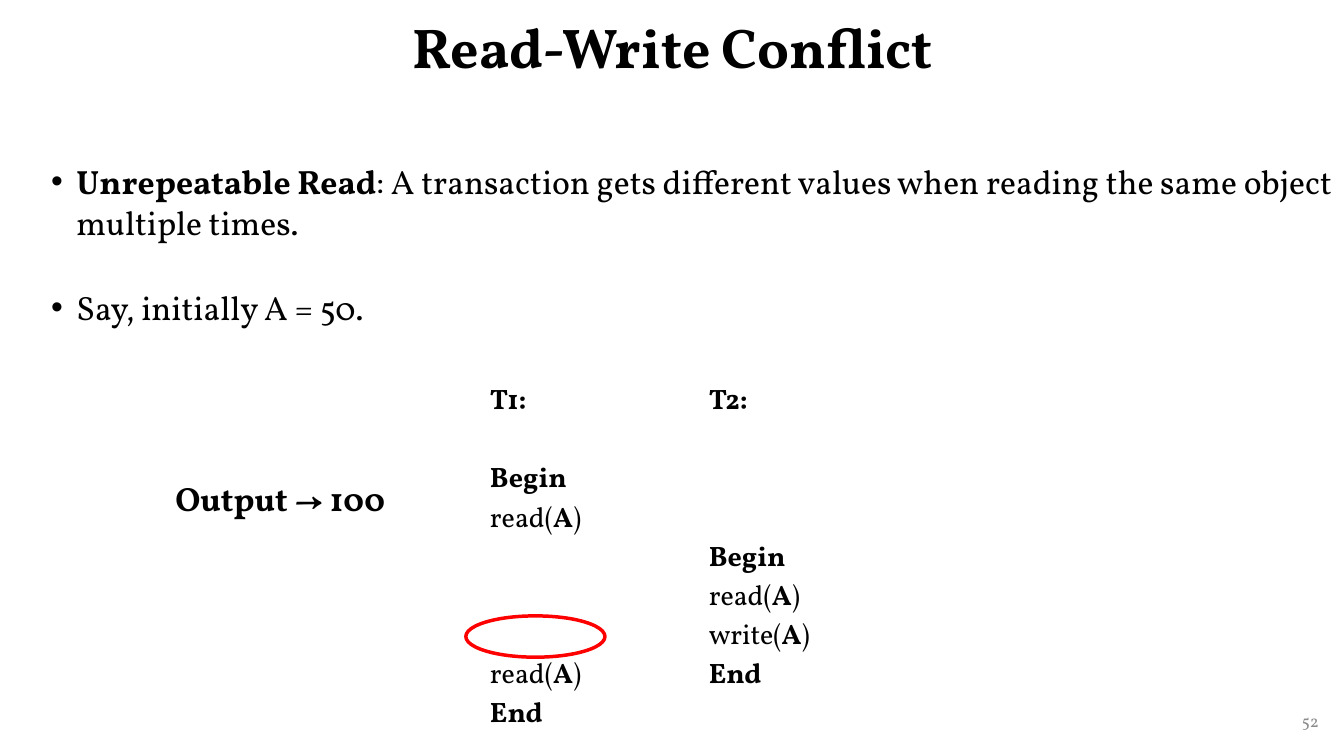
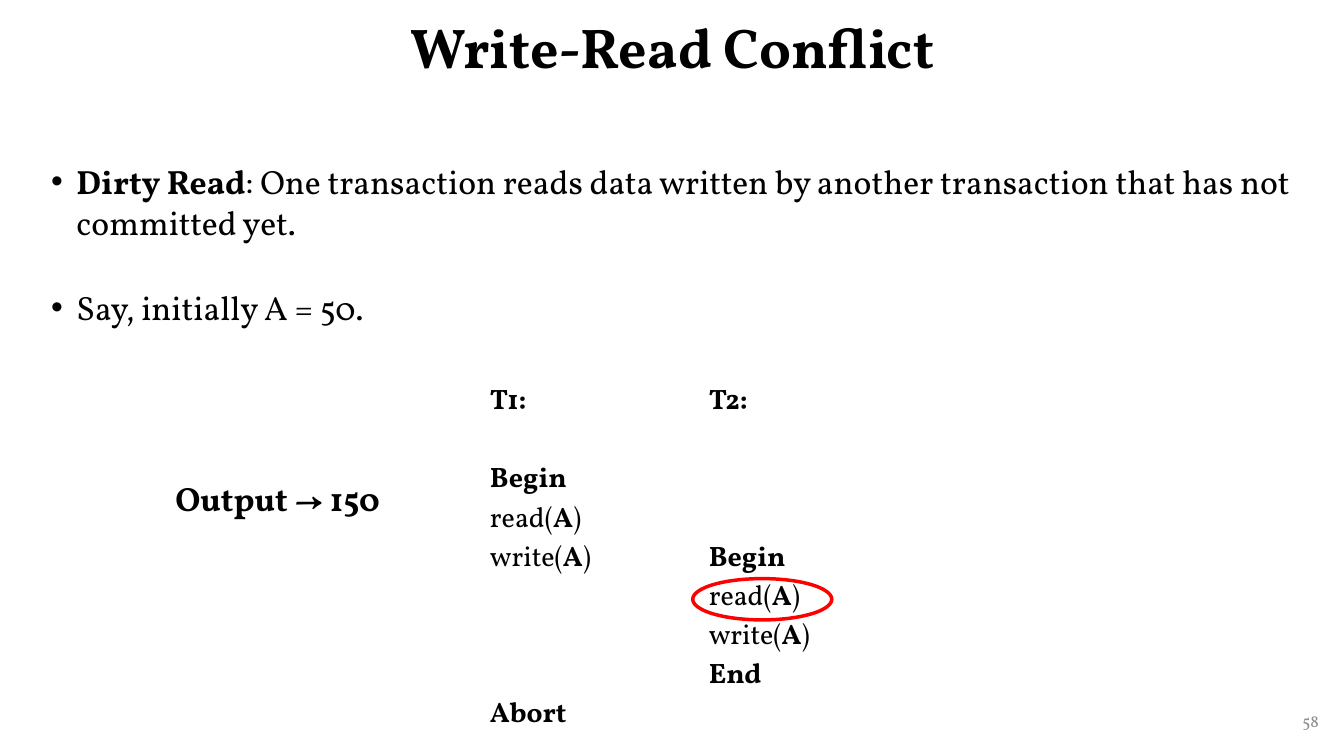
from dataclasses import dataclass

from lxml.etree import SubElement
from pptx import Presentation
from pptx.dml.color import RGBColor
from pptx.enum.shapes import MSO_SHAPE
from pptx.enum.text import MSO_ANCHOR, MSO_AUTO_SIZE, PP_ALIGN
from pptx.oxml.ns import qn
from pptx.util import Inches, Pt


@dataclass(frozen=True)
class Theme:
    font: str = "Vollkorn"
    text: RGBColor = RGBColor(0x00, 0x00, 0x00)
    muted: RGBColor = RGBColor(0x8C, 0x8C, 0x8C)
    accent: RGBColor = RGBColor(0xFF, 0x00, 0x00)
    title_size: int = 40
    body_size: int = 24
    step_size: int = 20
    number_size: int = 12
    step_pitch: float = 27.9  # height of one schedule line, in points
    plain_table: str = "{2D5ABB26-0587-4C30-8999-92F81FD0307C}"


THEME = Theme()

TITLE_BOX = (0.92, 0, 11.5, 0.99)
BODY_BOX = (0.41, 1.55, 12.92, 1.94)
SCHEDULE_BOX = (4.76, 3.75, 4.22, 3.6)
SCHEDULE_COLUMNS = (2.17, 2.05)
OUTPUT_BOX = (1.64, 4.69, 2.63, 0.5)
NUMBER_BOX = (10.18, 6.95, 3, 0.4)
MARK_SIZE = (1.38, 0.41)

# Schedule steps as (text, bold) spans
BEGIN, END, ABORT = ([(word, True)] for word in ("Begin", "End", "Abort"))
READ, WRITE = ([(f"{name}(", False), ("A", True), (")", False)]
               for name in ("read", "write"))


def inches(values):
    return [Inches(value) for value in values]


def write_spans(para, spans, size, color=THEME.text):
    for text, bold in spans:
        span = para.add_run()
        span.text = text
        font = span.font
        font.name, font.size, font.bold = THEME.font, Pt(size), bold
        font.color.rgb = color


def add_text(page, box, spans, size, color=THEME.text,
             align=PP_ALIGN.LEFT, anchor=MSO_ANCHOR.TOP):
    frame = page.shapes.add_textbox(*inches(box)).text_frame
    frame.word_wrap = True
    frame.vertical_anchor = anchor
    para = frame.paragraphs[0]
    para.alignment = align
    write_spans(para, spans, size, color)
    return frame


def set_title(page, box, text):
    title = page.shapes.title
    title.left, title.top, title.width, title.height = inches(box)
    frame = title.text_frame
    frame.auto_size = MSO_AUTO_SIZE.NONE
    frame.vertical_anchor = MSO_ANCHOR.MIDDLE
    para = frame.paragraphs[0]
    para.alignment = PP_ALIGN.CENTER
    para.line_spacing = 0.9
    write_spans(para, [(text, True)], THEME.title_size)


def add_bullet(para):
    properties = para._p.get_or_add_pPr()
    properties.set("marL", str(Inches(0.25)))
    properties.set("indent", str(-Inches(0.25)))
    SubElement(properties, qn("a:buFont"), typeface="Arial")
    SubElement(properties, qn("a:buChar"), char="•")


def add_body(page, box, term, meaning):
    frame = add_text(page, box, [(term, True), (f": {meaning}", False)],
                     THEME.body_size)
    start = frame.add_paragraph()
    for para in frame.paragraphs:
        add_bullet(para)
    start.space_before = Pt(32)
    write_spans(start, [("Say, initially A = 50.", False)], THEME.body_size)


def fill_transaction(cell, name, steps):
    """Write each step on its numbered line below the transaction's name."""
    cell.fill.background()
    frame = cell.text_frame
    para = frame.paragraphs[0]
    write_spans(para, [(f"{name}:", True)], THEME.step_size)
    previous = 0
    for line, spans in steps.items():
        para = frame.add_paragraph()
        para.space_before = Pt((line - previous - 1) * THEME.step_pitch)
        write_spans(para, spans, THEME.step_size)
        previous = line


def hide_borders(cell):
    properties = cell._tc.get_or_add_tcPr()
    for index, side in enumerate(("lnL", "lnR", "lnT", "lnB")):
        line = SubElement(properties, qn(f"a:{side}"), w="0")
        SubElement(line, qn("a:noFill"))
        properties.insert(index, line)


def add_schedule(page, box, transactions):
    table = page.shapes.add_table(1, len(transactions), *inches(box)).table
    table.first_row = table.horz_banding = False
    table._tbl.tblPr.find(qn("a:tableStyleId")).text = THEME.plain_table
    for index, steps in enumerate(transactions):
        table.columns[index].width = Inches(SCHEDULE_COLUMNS[index])
        cell = table.cell(0, index)
        fill_transaction(cell, f"T{index + 1}", steps)
        hide_borders(cell)


def add_mark(page, left, top):
    mark = page.shapes.add_shape(MSO_SHAPE.OVAL,
                                 *inches((left, top, *MARK_SIZE)))
    mark.shadow.inherit = False
    mark.fill.background()
    mark.line.color.rgb = THEME.accent
    mark.line.width = Pt(2.5)


def add_conflict_slide(deck, title, number, term, meaning, transactions,
                       mark, output):
    page = deck.slides.add_slide(deck.slide_layouts[5])
    set_title(page, TITLE_BOX, title)
    # Page number
    add_text(page, NUMBER_BOX, [(number, False)], THEME.number_size,
             THEME.muted, PP_ALIGN.RIGHT, MSO_ANCHOR.MIDDLE)
    # Definition, schedule and the conflicting step
    add_body(page, BODY_BOX, term, meaning)
    add_schedule(page, SCHEDULE_BOX, transactions)
    add_mark(page, *mark)
    # Value that the conflicting read returns
    add_text(page, OUTPUT_BOX, [(f"Output → {output}", True)],
             THEME.body_size)


def main():
    deck = Presentation()
    deck.slide_width, deck.slide_height = Inches(13.33), Inches(7.5)
    second = {4: BEGIN, 5: READ, 6: WRITE, 7: END}
    add_conflict_slide(
        deck, "Read-Write Conflict", "52", "Unrepeatable Read",
        "A transaction gets different values when reading the same object "
        "multiple times.",
        [{2: BEGIN, 3: READ, 7: READ, 8: END}, second],
        mark=(4.62, 6.11), output=100)
    add_conflict_slide(
        deck, "Write-Read Conflict", "58", "Dirty Read",
        "One transaction reads data written by another transaction that has "
        "not committed yet.",
        [{2: BEGIN, 3: READ, 4: WRITE, 8: ABORT}, second],
        mark=(6.87, 5.74), output=150)
    deck.save("out.pptx")


if __name__ == "__main__":
    main()
